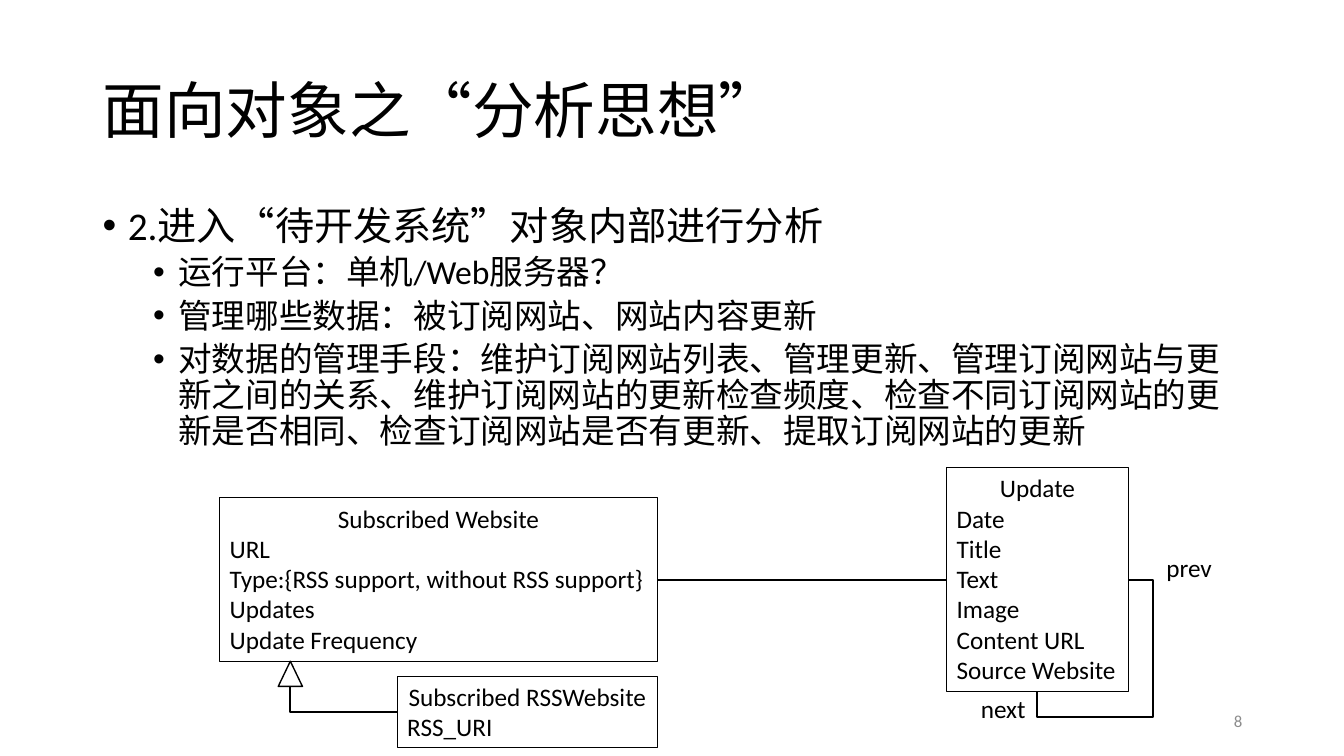
import pptx
import pptx.util
import pptx.dml.color
import pptx.enum.shapes
import pptx.enum.text
import pptx.oxml
import pptx.oxml.ns
from dataclasses import dataclass
from pptx.util import Inches

ALIGN = pptx.enum.text.PP_ALIGN
ANCHOR = pptx.enum.text.MSO_ANCHOR
SHAPE = pptx.enum.shapes.MSO_SHAPE
CONNECTOR = pptx.enum.shapes.MSO_CONNECTOR
TOP, LEFT, BOTTOM, RIGHT = range(4)  # connection sites of a rectangle
TRIANGLE_BASE = 3


@dataclass(frozen=True)
class Theme:
    """Colours, font, type sizes and line widths of the slide."""
    font: str = "Calibri"
    ink: str = "000000"
    muted: str = "8C8C8C"
    title: int = 44
    body: int = 28
    sub: int = 24
    label: int = 18
    number: int = 12
    box_line: float = 0.75
    arrow_line: float = 1
    link_line: float = 1.5


THEME = Theme()


def rgb(color):
    """Turn a hex string into a colour."""
    return pptx.dml.color.RGBColor.from_string(color)


def child(parent, tag, **attrs):
    """Append a DrawingML element to parent."""
    el = pptx.oxml.parse_xml(f"<a:{tag} {pptx.oxml.ns.nsdecls('a')}/>")
    for name, value in attrs.items():
        el.set(name, str(value))
    parent.append(el)
    return el


def set_line(sp, width):
    """Give a shape or connector a plain dark line."""
    sp.line.color.rgb = rgb(THEME.ink)
    sp.line.width = pptx.util.Pt(width)


def add_para(tf, text, size, color=THEME.ink, align=ALIGN.LEFT):
    """Fill the first empty paragraph, or add one, with a single run."""
    p = tf.paragraphs[0]
    if p.runs:
        p = tf.add_paragraph()
    p.alignment = align
    r = p.add_run()
    r.text = text
    r.font.name = THEME.font
    r.font.size = pptx.util.Pt(size)
    r.font.color.rgb = rgb(color)
    return p


def add_text(slide, at, anchor=ANCHOR.TOP, wrap=True):
    """Add an empty text box and return its text frame."""
    tf = slide.shapes.add_textbox(*map(Inches, at)).text_frame
    tf.word_wrap = wrap
    tf.vertical_anchor = anchor
    return tf


def add_bullet(tf, text, level):
    """Add a bulleted paragraph at level 0 or 1."""
    p = add_para(tf, text, (THEME.body, THEME.sub)[level])
    p.level = level
    p.line_spacing = 0.9
    p.space_before = pptx.util.Pt((10, 5)[level])
    props = p._p.get_or_add_pPr()
    props.set("marL", str(Inches(0.25 + 0.5 * level)))
    props.set("indent", str(Inches(-0.25)))
    child(props, "buFont", typeface="Arial")
    child(props, "buChar", char="•")


def add_outline(slide, kind, at, width):
    """Add an unfilled preset shape."""
    sp = slide.shapes.add_shape(kind, *map(Inches, at))
    sp.shadow.inherit = False
    sp.fill.background()
    set_line(sp, width)
    return sp


def add_class(slide, at, name, fields):
    """Add a class box: centred name above left-aligned fields."""
    sp = add_outline(slide, SHAPE.RECTANGLE, at, THEME.box_line)
    tf = sp.text_frame
    tf.word_wrap = False
    tf.vertical_anchor = ANCHOR.TOP
    tf.auto_size = pptx.enum.text.MSO_AUTO_SIZE.SHAPE_TO_FIT_TEXT
    add_para(tf, name, THEME.label, align=ALIGN.CENTER)
    for field in fields:
        add_para(tf, field, THEME.label)
    return sp


def add_link(slide, start, end, at, kind=CONNECTOR.STRAIGHT):
    """Join two (shape, site) ends with a connector in the given frame."""
    cxn = slide.shapes.add_connector(kind, 0, 0, 0, 0)
    cxn.begin_connect(*start)
    cxn.end_connect(*end)
    cxn.left, cxn.top, cxn.width, cxn.height = map(Inches, at)
    set_line(cxn, THEME.link_line)
    child(cxn._element.spPr, "effectLst")
    return cxn


def add_bent_link(slide, start, end, at, preset, turn, flips, adjusts=()):
    """Add a link with a bent preset, a rotation, flips and adjustments."""
    cxn = add_link(slide, start, end, at, CONNECTOR.ELBOW)
    props = cxn._element.spPr
    frame = props.find(pptx.oxml.ns.qn("a:xfrm"))
    frame.set("rot", str(turn * 60000))
    for axis in "HV":
        frame.set("flip" + axis, str(int(axis in flips)))
    geom = props.find(pptx.oxml.ns.qn("a:prstGeom"))
    geom.set("prst", preset)
    for el in list(geom):
        geom.remove(el)
    guides = child(geom, "avLst")
    for i, value in enumerate(adjusts, 1):
        child(guides, "gd", name=f"adj{i}", fmla=f"val {round(value * 100000)}")


def add_diagram(slide):
    """Draw the class diagram with its links and labels."""
    website = add_class(slide, (2.18, 4.94, 4.34, 1.62), "Subscribed Website", [
        "URL", "Type:{RSS support, without RSS support}", "Updates",
        "Update Frequency"])
    update = add_class(slide, (9.39, 4.64, 1.8, 2.22), "Update", [
        "Date", "Title", "Text", "Image", "Content URL", "Source Website"])
    add_link(slide, (website, RIGHT), (update, LEFT), (6.52, 5.75, 2.87, 0))
    rss = add_class(slide, (3.94, 6.71, 2.58, 0.71), "Subscribed RSSWebsite",
                    ["RSS_URI"])
    arrow = add_outline(slide, SHAPE.ISOSCELES_TRIANGLE,
                        (2.76, 6.56, 0.24, 0.25), THEME.arrow_line)
    add_bent_link(slide, (arrow, TRIANGLE_BASE), (rss, LEFT),
                  (3.28, 6.41, 0.25, 1.06), "bentConnector2", 270, "H")
    add_bent_link(slide, (update, BOTTOM), (update, RIGHT),
                  (10.18, 5.86, 1.11, 0.9), "bentConnector4", 90, "HV",
                  (-0.225, 1.278))
    for text, at in (("prev", (11.47, 5.43, 0.66, 0.4)),
                     ("next", (9.63, 6.83, 0.65, 0.4))):
        add_para(add_text(slide, at, wrap=False), text, THEME.label)


def main():
    """Build and save the slide."""
    prs = pptx.Presentation()
    prs.slide_width, prs.slide_height = Inches(13.33), Inches(7.5)
    s = prs.slides.add_slide(prs.slide_layouts[6])
    title = add_text(s, (0.92, 0.4, 11.5, 1.45), ANCHOR.MIDDLE)
    add_para(title, "面向对象之“分析思想”", THEME.title).line_spacing = 0.9
    body = add_text(s, (0.92, 2, 11.5, 2.95))
    for level, text in (
            (0, "2.进入“待开发系统”对象内部进行分析"),
            (1, "运行平台：单机/Web服务器？"),
            (1, "管理哪些数据：被订阅网站、网站内容更新"),
            (1, "对数据的管理手段：维护订阅网站列表、管理更新、管理订阅网站与更新之间的关系、"
                "维护订阅网站的更新检查频度、检查不同订阅网站的更新是否相同、"
                "检查订阅网站是否有更新、提取订阅网站的更新")):
        add_bullet(body, text, level)
    add_diagram(s)
    number = add_text(s, (9.42, 6.95, 3, 0.4), ANCHOR.MIDDLE)
    add_para(number, "8", THEME.number, THEME.muted, ALIGN.RIGHT)
    prs.save("out.pptx")


main()
